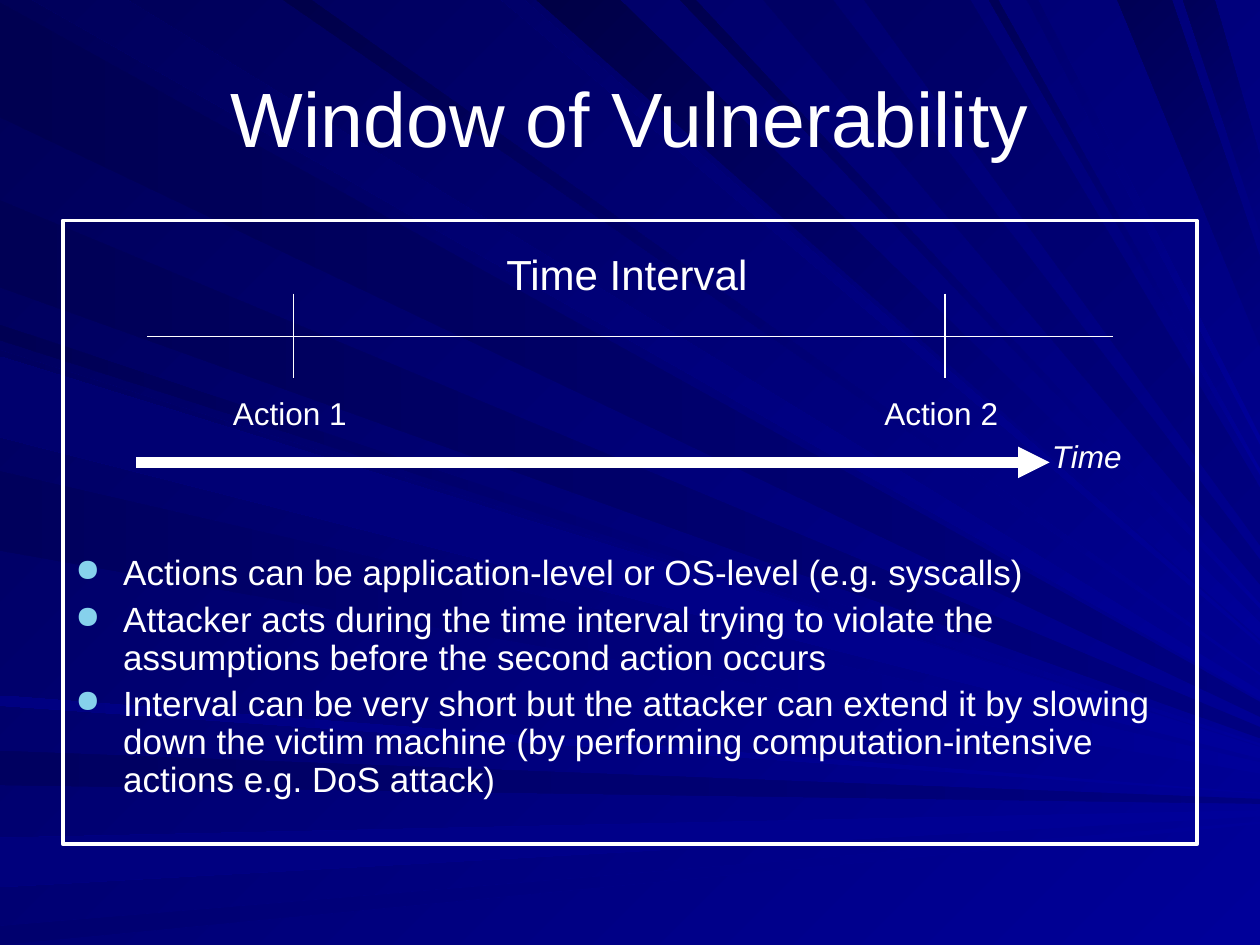
from dataclasses import dataclass

from lxml import etree
from pptx import Presentation
from pptx.dml.color import RGBColor
from pptx.enum.shapes import MSO_CONNECTOR, MSO_SHAPE
from pptx.enum.text import MSO_ANCHOR, PP_ALIGN
from pptx.oxml.ns import qn
from pptx.util import Pt

STRAIGHT = MSO_CONNECTOR.STRAIGHT
RECTANGLE = MSO_SHAPE.RECTANGLE
TOP, MIDDLE = MSO_ANCHOR.TOP, MSO_ANCHOR.MIDDLE
LEFT, CENTER = PP_ALIGN.LEFT, PP_ALIGN.CENTER
PX = 9144
WIDTH, HEIGHT = 1000, 750
FOCUS_X, FOCUS_Y = 1150, 640


@dataclass(frozen=True)
class Theme:
    """Colours, font and type sizes of the slide."""
    font: str = "Arial"
    text: str = "FFFFFF"
    bullet: str = "86D1EC"
    blue: str = "000099"
    navy: str = "000080"
    night: str = "000057"
    title: int = 44
    heading: int = 24
    body: int = 20
    label: int = 18


THEME = Theme()
BLUE, NAVY = THEME.blue, THEME.navy

LEFT_RAYS = [
    (2, 93, NAVY, "000051"),
    (596, 623, NAVY, "000060"),
    (665, 704, BLUE, "00007C"),
    (735, 750, BLUE, "00006E"),
    (258, 270, BLUE, "000053"),
    (159, 228, NAVY, "000055"),
    (278, 342, BLUE, "000060"),
    (374, 437, BLUE, "00005C"),
    (552, 560, BLUE, "000081"),
    (283, 347, BLUE, "00006E"),
]
TOP_RAYS = [
    (26, 101, BLUE, "00005C"),
    (398, 416, BLUE, "00006A"),
    (426, 492, BLUE, "000046"),
    (540, 552, BLUE, "00004E"),
    (606, 661, NAVY, "000064"),
    (887, 930, NAVY, "000055"),
    (939, 964, NAVY, "000059"),
    (225, 247, BLUE, "00004A"),
    (686, 770, NAVY, "000064"),
    (785, 792, BLUE, "000057"),
    (815, 824, BLUE, "00006E"),
]

BULLETS = [
    "Actions can be application-level or OS-level (e.g. syscalls)",
    "Attacker acts during the time interval trying to violate the assumptions "
    "before the second action occurs",
    "Interval can be very short but the attacker can extend it by slowing down the "
    "victim machine (by performing computation-intensive actions e.g. DoS attack)",
]


def rgb(value):
    """Turn a hex string into a colour."""
    return RGBColor.from_string(value)


def px(*values):
    """Turn px lengths into EMU."""
    return [v * PX for v in values]


def paint(fill, start, end, angle):
    """Fill with a gradient at a clockwise angle."""
    fill.gradient()
    fill.gradient_angle = 360 - angle
    for stop, color in zip(fill.gradient_stops, (start, end)):
        stop.color.rgb = rgb(color)


def toward_focus(x, y):
    """Follow a ray from its start to the right edge of the slide."""
    share = (WIDTH - x) / (FOCUS_X - x)
    return WIDTH, round(y + (FOCUS_Y - y) * share)


def add_ray(s, first, last, near, far, angle):
    """Draw one ray of the backdrop, narrowing toward the focus."""
    builder = s.shapes.build_freeform(*first, scale=PX)
    builder.add_line_segments([toward_focus(*first), toward_focus(*last), last])
    ray = builder.convert_to_shape()
    ray.shadow.inherit = False
    ray.line.fill.background()
    paint(ray.fill, near, far, angle)


def add_backdrop(s):
    """Paint the background and its rays from the left and top edges."""
    paint(s.background.fill, BLUE, THEME.night, 225)
    for low, high, near, far in LEFT_RAYS:
        add_ray(s, (0, low), (0, high), near, far, 180)
    for low, high, near, far in TOP_RAYS:
        add_ray(s, (low, 0), (high, 0), near, far, 225)


def format_text(tf, size, align=LEFT, anchor=TOP, italic=False):
    """Wrap, anchor and style the text of a frame."""
    tf.word_wrap = True
    tf.vertical_anchor = anchor
    for p in tf.paragraphs:
        p.alignment = align
        for r in p.runs:
            r.font.name = THEME.font
            r.font.size = Pt(size)
            r.font.italic = italic
            r.font.color.rgb = rgb(THEME.text)


def add_title(s, text, box):
    """Place the title in front of the backdrop."""
    title = s.shapes.title
    title.left, title.top, title.width, title.height = px(*box)
    title.text_frame.text = text
    format_text(title.text_frame, THEME.title, CENTER, MIDDLE)
    title.element.getparent().append(title.element)


def add_bullet(p):
    """Give a paragraph a coloured round bullet and a hanging indent."""
    pPr = p._p.get_or_add_pPr()
    pPr.set("marL", str(38 * PX))
    pPr.set("indent", str(-38 * PX))
    color = etree.SubElement(pPr, qn("a:buClr"))
    etree.SubElement(color, qn("a:srgbClr"), val=THEME.bullet)
    etree.SubElement(pPr, qn("a:buSzPct"), val="90000")
    etree.SubElement(pPr, qn("a:buChar"), char="●")


def add_panel(s, items, box, text_top):
    """Draw the outlined panel with its bullet list."""
    panel = s.shapes.add_shape(RECTANGLE, *px(*box))
    panel.shadow.inherit = False
    panel.fill.background()
    panel.line.color.rgb = rgb(THEME.text)
    panel.line.width = Pt(2.25)
    tf = panel.text_frame
    tf.text = "\n".join(items)
    tf.margin_top = text_top * PX
    for i, p in enumerate(tf.paragraphs):
        add_bullet(p)
        p.line_spacing = 0.9
        p.space_before = Pt(5 if i else 0)
    format_text(tf, THEME.body)


def add_line(s, ends, width=0.75, arrow=False):
    """Draw a straight line, with an arrowhead if asked."""
    line = s.shapes.add_connector(STRAIGHT, *px(*ends))
    line.line.color.rgb = rgb(THEME.text)
    line.line.width = Pt(width)
    spPr = line.element.spPr
    if arrow:
        etree.SubElement(spPr.find(qn("a:ln")), qn("a:tailEnd"), type="triangle")
    etree.SubElement(spPr, qn("a:effectLst"))


def add_label(s, text, box, size=THEME.label, italic=False):
    """Add a text box."""
    tf = s.shapes.add_textbox(*px(*box)).text_frame
    tf.text = text
    format_text(tf, size, italic=italic)


def main():
    """Build and save the slide."""
    prs = Presentation()
    prs.slide_width, prs.slide_height = px(WIDTH, HEIGHT)
    s = prs.slides.add_slide(prs.slide_layouts[5])
    add_backdrop(s)
    add_title(s, "Window of Vulnerability", (50, 30, 900, 125))
    add_panel(s, BULLETS, (50, 175, 900, 495), 266)
    add_line(s, (117, 267, 883, 267))
    for x, action in ((233, "Action 1"), (750, "Action 2")):
        add_line(s, (x, 233, x, 300))
        add_label(s, action, (x - 58, 308, 117, 40))
    add_label(s, "Time Interval", (392, 192, 258, 50), THEME.heading)
    add_line(s, (108, 367, 833, 367), 6, arrow=True)
    add_label(s, "Time", (825, 342, 100, 40), italic=True)
    prs.save("out.pptx")


if __name__ == "__main__":
    main()
